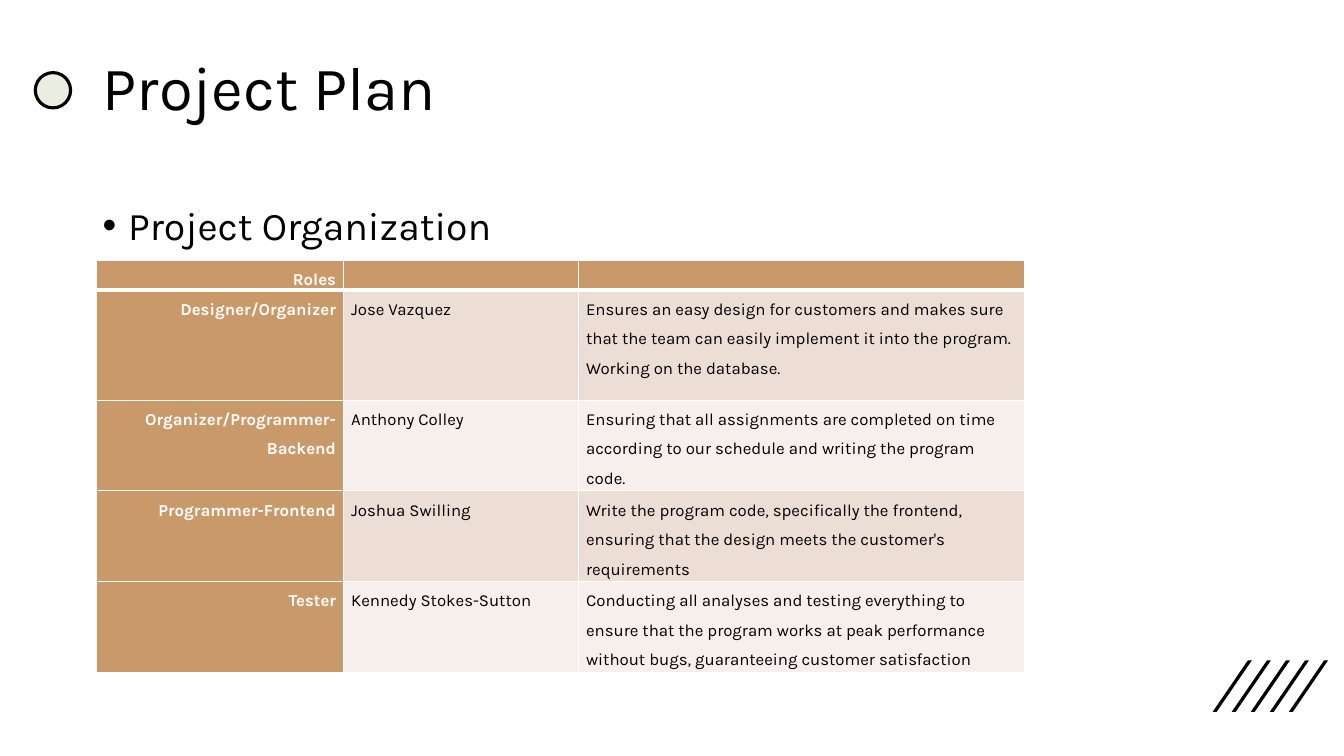
from lxml import etree
from pptx import Presentation
from pptx.dml.color import RGBColor
from pptx.enum.shapes import MSO_SHAPE
from pptx.enum.text import MSO_ANCHOR, PP_ALIGN
from pptx.oxml.ns import qn
from pptx.util import Cm, Pt

LEFT, RIGHT = PP_ALIGN.LEFT, PP_ALIGN.RIGHT
TOP, MIDDLE = MSO_ANCHOR.TOP, MSO_ANCHOR.MIDDLE
OVAL = MSO_SHAPE.OVAL

FONT = "Karla"
COLORS = {
    "ink": "000000",
    "paper": "FFFFFF",
    "dot": "EAEEE2",
    "head": "CA996A",
    "odd": "ECDED4",
    "even": "F6EFEB",
}
COLS = [6.22, 5.92, 11.25]
ROWS = [0.71, 2.77, 2.21, 2.21, 2.21]
ROLES = [
    ("Roles", "", ""),
    ("Designer/Organizer", "Jose Vazquez",
     "Ensures an easy design for customers and makes sure that the team can "
     "easily implement it into the program. Working on the database."),
    ("Organizer/Programmer-Backend", "Anthony Colley",
     "Ensuring that all assignments are completed on time according to our "
     "schedule and writing the program code."),
    ("Programmer-Frontend", "Joshua Swilling",
     "Write the program code, specifically the frontend, ensuring that the "
     "design meets the customer's requirements"),
    ("Tester", "Kennedy Stokes-Sutton",
     "Conducting all analyses and testing everything to ensure that the "
     "program works at peak performance without bugs, guaranteeing customer "
     "satisfaction"),
]


def rgb(name):
    return RGBColor.from_string(COLORS[name])


def paint(shape, fill):
    shape.shadow.inherit = False
    shape.fill.solid()
    shape.fill.fore_color.rgb = rgb(fill)


def write(frame, text, size=12, color="ink", bold=False, align=LEFT,
          line=0.9, after=0, bullet=None):
    frame.word_wrap = True
    para = frame.paragraphs[0]
    para.alignment = align
    para.line_spacing = line
    para.space_before = Pt(0)
    para.space_after = Pt(after)
    if bullet:
        props = para._p.get_or_add_pPr()
        props.set("marL", str(Cm(0.64)))
        props.set("indent", str(-Cm(0.64)))
        etree.SubElement(props, qn("a:buFont"), typeface="Arial")
        etree.SubElement(props, qn("a:buChar"), char=bullet)
    run = para.add_run()
    run.text = text
    run.font.name = FONT
    run.font.size = Pt(size)
    run.font.bold = bold
    run.font.color.rgb = rgb(color)


def label(slide, text, x, y, w, h, anchor=TOP, **style):
    box = slide.shapes.add_textbox(Cm(x), Cm(y), Cm(w), Cm(h))
    box.text_frame.vertical_anchor = anchor
    write(box.text_frame, text, **style)


def border(cell, sides):
    """Draw the cell's sides, given as {tag: width in points}."""
    props = cell._tc.get_or_add_tcPr()
    for tag, width in sides.items():
        edge = etree.SubElement(props, qn(f"a:{tag}"), w=str(Pt(width)))
        fill = etree.SubElement(edge, qn("a:solidFill"))
        etree.SubElement(fill, qn("a:srgbClr"), val=COLORS["paper"])


def slashes(slide, x, y, w, h, count=5, step=0.48, thick=0.1):
    for i in range(count):
        x0 = x + i * step
        x1 = x0 + w
        path = slide.shapes.build_freeform(Cm(x0 + thick), Cm(y + h))
        path.add_line_segments([
            (Cm(x0), Cm(y + h)),
            (Cm(x1 - thick), Cm(y)),
            (Cm(x1), Cm(y)),
        ])
        slash = path.convert_to_shape()
        paint(slash, "ink")
        slash.line.fill.background()


def heading(slide, x, y, w, h):
    size = 0.89
    dot = slide.shapes.add_shape(
        OVAL, Cm(x), Cm(y + (h - size) / 2), Cm(size), Cm(size))
    paint(dot, "dot")
    dot.line.color.rgb = rgb("ink")
    dot.line.width = Pt(2.25)
    label(slide, "Project Plan", x + 1.45, y, w - 1.45, h,
          anchor=MIDDLE, size=44)


def roster(slide, x, y):
    table = slide.shapes.add_table(
        len(ROWS), len(COLS), Cm(x), Cm(y),
        Cm(sum(COLS)), Cm(sum(ROWS))).table
    for col, width in zip(table.columns, COLS):
        col.width = Cm(width)
    for r, (height, texts) in enumerate(zip(ROWS, ROLES)):
        table.rows[r].height = Cm(height)
        for c, text in enumerate(texts):
            cell = table.cell(r, c)
            cell.margin_left = cell.margin_right = Cm(0.19)
            cell.margin_top = cell.margin_bottom = 0
            sides = {"lnL": 1, "lnR": 1}
            if r == 0:
                sides["lnT"] = 1
            sides["lnB"] = 1 if r else 3
            border(cell, sides)
            head = r == 0 or c == 0
            cell.fill.solid()
            cell.fill.fore_color.rgb = rgb(
                "head" if head else "odd" if r % 2 else "even")
            write(cell.text_frame, text, color="paper" if head else "ink",
                  bold=head, align=LEFT if c else RIGHT, line=1.5, after=6)


def main():
    deck = Presentation()
    deck.slide_width, deck.slide_height = Cm(33.87), Cm(19.05)
    slide = deck.slides.add_slide(deck.slide_layouts[6])
    slashes(slide, 30.56, 16.64, 0.99, 1.3)
    heading(slide, 0.89, 1.02, 30.66, 2.51)
    label(slide, "Project Organization", 2.34, 5.08, 29.21, 12.09,
          size=28, bullet="•")
    roster(slide, 2.44, 6.55)
    deck.save("out.pptx")


if __name__ == "__main__":
    main()
